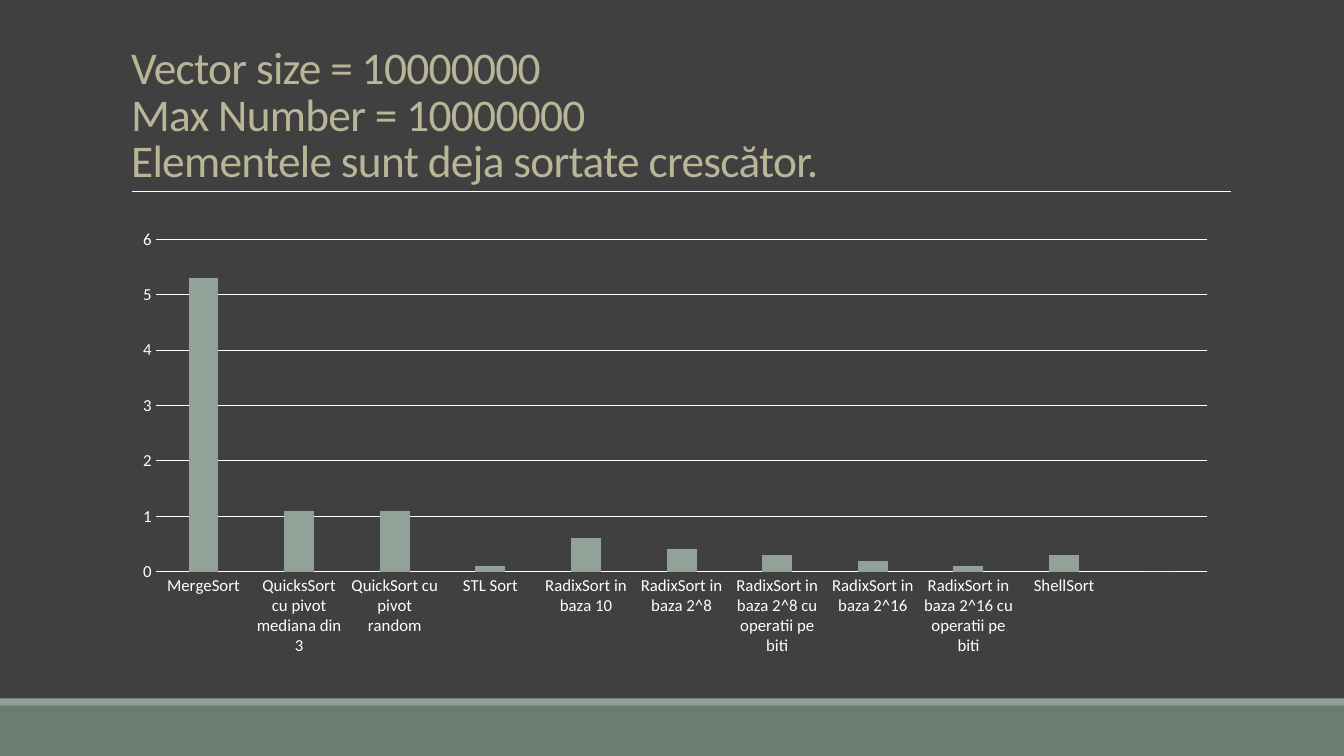
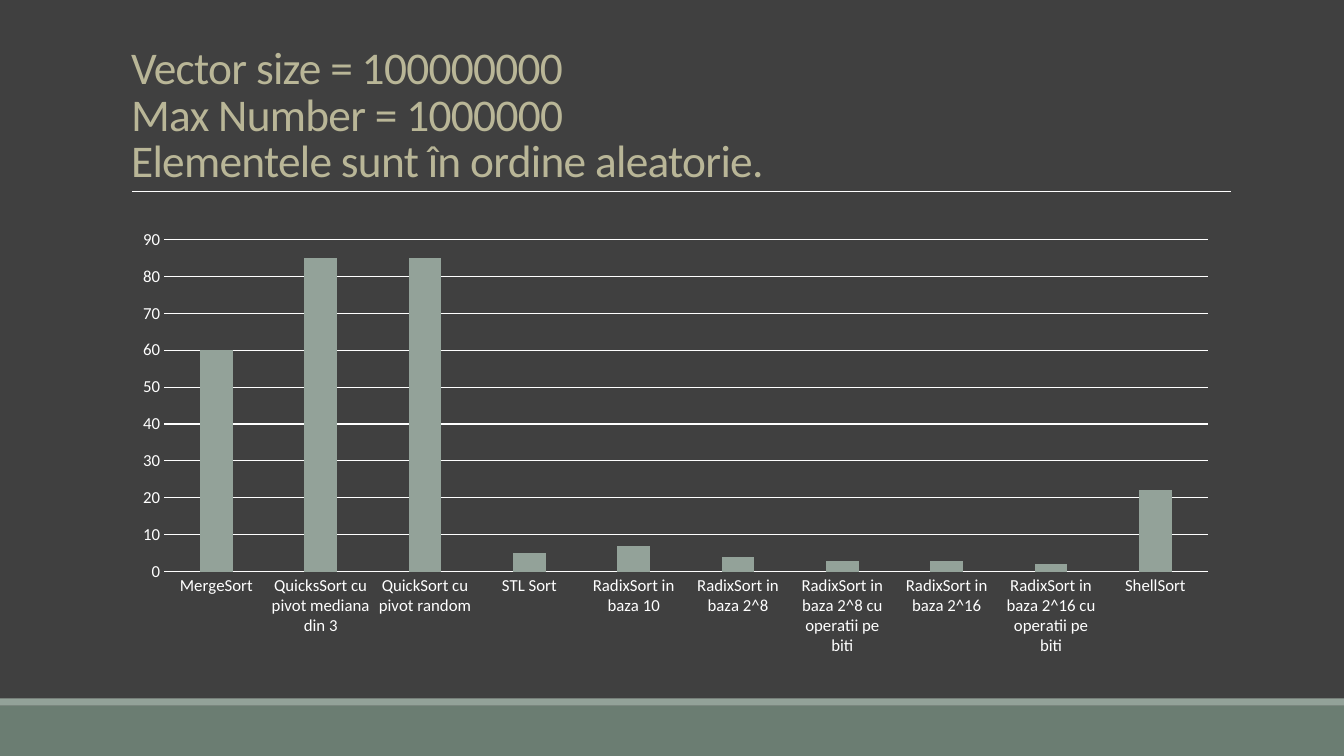
from pptx import Presentation
from pptx.chart.data import CategoryChartData
from pptx.dml.color import RGBColor
from pptx.enum import chart as ch, shapes, text
from pptx.oxml.ns import qn
from pptx.util import Cm, Pt
from lxml import etree

COLORS = {
    "background": "404040",
    "band": "6B7D72",
    "accent": "93A299",
    "title": "B9B697",
    "light": "FFFFFF",
}
FONT = "Calibri"
WIDTH, HEIGHT = Cm(33.87), Cm(19.05)
TITLE_BOX = Cm(3.05), Cm(0.79), Cm(27.94), Cm(4.04)
CHART_BOX = Cm(3.05), Cm(5.56), Cm(27.94), Cm(11.18)
FOOTER_BOX = 0, Cm(17.6), WIDTH, Cm(1.45)

SORTS = [
    "MergeSort",
    "QuicksSort cu pivot mediana din 3",
    "QuickSort cu pivot random",
    "STL Sort",
    "RadixSort in baza 10",
    "RadixSort in baza 2^8",
    "RadixSort in baza 2^8 cu operatii pe biti",
    "RadixSort in baza 2^16",
    "RadixSort in baza 2^16 cu operatii pe biti",
    "ShellSort",
]
SLIDES = [
    {
        "title": ["Vector size = 10000000", "Max Number = 10000000",
                  "Elementele sunt deja sortate crescător."],
        "categories": SORTS + [""],
        "values": [5.3, 1.1, 1.1, 0.1, 0.6, 0.4, 0.3, 0.2, 0.1, 0.3, 0],
        "top": 6, "step": 1,
    },
    {
        "title": ["Vector size = 100000000", "Max Number = 1000000",
                  "Elementele sunt în ordine aleatorie."],
        "categories": SORTS,
        "values": [60, 85, 85, 5, 7, 4, 3, 3, 2, 22],
        "top": 90, "step": 10,
    },
]


def rgb(name):
    return RGBColor.from_string(COLORS[name])


def style_font(font, size, color):
    font.name, font.size = FONT, Pt(size)
    font.color.rgb = rgb(color)


def style_line(line, width):
    line.color.rgb = rgb("light")
    line.width = Pt(width)


def add_footer(slide, box):
    """Draw the wide band with a thin accent strip along its top."""
    left, top, width, height = box
    strip = Cm(0.18)
    for color, y, h in (("band", top + strip, height - strip), ("accent", top, strip)):
        sp = slide.shapes.add_shape(shapes.MSO_SHAPE.RECTANGLE, left, y, width, h)
        sp.shadow.inherit = False
        sp.fill.solid()
        sp.fill.fore_color.rgb = rgb(color)
        sp.line.fill.background()


def add_title(slide, box, lines):
    """Fill the title placeholder and underline it with a rule."""
    left, top, width, height = box
    sp = slide.shapes.title
    sp.left, sp.top, sp.width, sp.height = box
    tf = sp.text_frame
    tf.word_wrap = True
    tf.auto_size = text.MSO_AUTO_SIZE.NONE
    tf.vertical_anchor = text.MSO_ANCHOR.BOTTOM
    p = tf.paragraphs[0]
    p.text = "\v".join(lines)
    p.alignment = text.PP_ALIGN.LEFT
    p.line_spacing = 0.85
    style_font(p.font, 32.4, "title")
    for r in p.runs:
        r._r.get_or_add_rPr().set("spc", "-50")

    y = top + height
    rule = slide.shapes.add_connector(
        shapes.MSO_CONNECTOR.STRAIGHT, left + Cm(0.28), y, left + width + Cm(0.02), y)
    style_line(rule.line, 0.5)
    etree.SubElement(rule._element.spPr, qn("a:effectLst"))


def add_times_chart(slide, box, categories, values, top, step):
    data = CategoryChartData()
    data.categories = categories
    data.add_series("Series 1", values)
    chart = slide.shapes.add_chart(ch.XL_CHART_TYPE.COLUMN_CLUSTERED, *box, data).chart
    chart.has_legend = False
    chart.has_title = False
    style_font(chart.font, 10, "light")

    plot = chart.plots[0]
    plot.gap_width, plot.overlap = 219, -27
    plot.vary_by_categories = False
    fill = plot.series[0].format.fill
    fill.solid()
    fill.fore_color.rgb = rgb("accent")

    for axis in (chart.category_axis, chart.value_axis):
        axis.major_tick_mark = axis.minor_tick_mark = ch.XL_TICK_MARK.NONE
        style_font(axis.tick_labels.font, 12, "light")
    style_line(chart.category_axis.format.line, 0.75)

    axis = chart.value_axis
    axis.minimum_scale, axis.maximum_scale, axis.major_unit = 0, top, step
    axis.tick_labels.number_format = "0"
    axis.tick_labels.number_format_is_linked = False
    axis.format.line.fill.background()
    style_line(axis.major_gridlines.format.line, 0.75)


def add_results_slide(prs, title, **results):
    slide = prs.slides.add_slide(prs.slide_layouts.get_by_name("Title Only"))
    add_footer(slide, FOOTER_BOX)
    add_title(slide, TITLE_BOX, title)
    add_times_chart(slide, CHART_BOX, **results)


def main():
    prs = Presentation()
    prs.slide_width, prs.slide_height = WIDTH, HEIGHT
    fill = prs.slide_master.background.fill
    fill.solid()
    fill.fore_color.rgb = rgb("background")
    for content in SLIDES:
        add_results_slide(prs, **content)
    prs.save("out.pptx")


if __name__ == "__main__":
    main()
